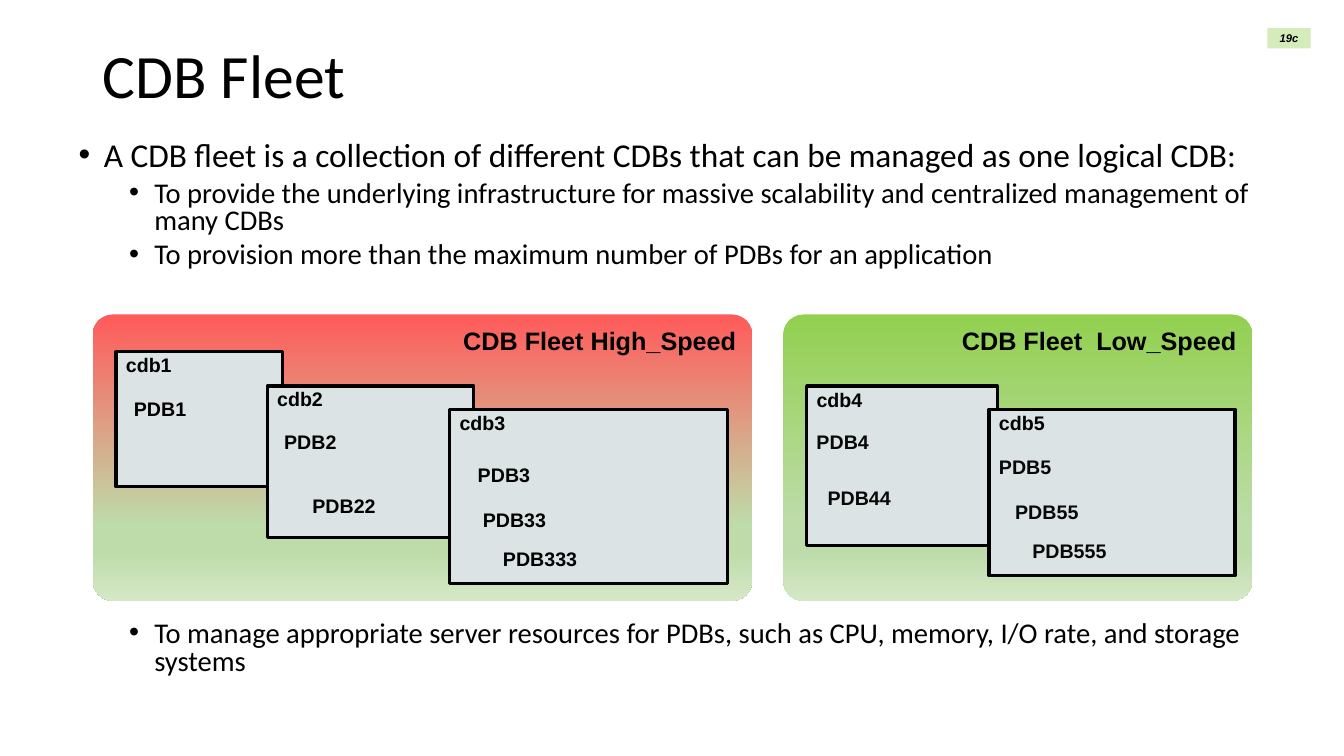
"""Build the slide on CDB fleets with their databases."""
from lxml.etree import SubElement
from pptx import Presentation
from pptx.dml.color import RGBColor
from pptx.enum.shapes import MSO_SHAPE
from pptx.enum.text import MSO_ANCHOR, MSO_AUTO_SIZE, PP_ALIGN
from pptx.oxml.ns import qn
from pptx.util import Pt

PX = 9144


def paint(fill, hue):
    """Fill with one solid colour."""
    fill.solid()
    fill.fore_color.rgb = RGBColor.from_string(hue)


def write(para, text, size=14, face="Arial", hue="000000", bold=True,
          slant=False, align=PP_ALIGN.LEFT, lead=1.0, gap=0):
    """Add formatted text to a paragraph."""
    run = para.add_run()
    run.text = text
    font = run.font
    font.size, font.name, font.bold, font.italic = Pt(size), face, bold, slant
    paint(font.fill, hue)
    para.alignment = align
    para.line_spacing = lead
    para.space_before = Pt(gap)


deck = Presentation()
deck.slide_width, deck.slide_height = 1333 * PX, 750 * PX
slide = deck.slides.add_slide(deck.slide_layouts[1])
shapes = slide.shapes

title, body = slide.placeholders
for holder, (x, y, w, h) in ((title, (92, 40, 1150, 145)),
                             (body, (68, 136, 1197, 541))):
    holder.left, holder.top = x * PX, y * PX
    holder.width, holder.height = w * PX, h * PX
    frame = holder.text_frame
    frame.auto_size = MSO_AUTO_SIZE.NONE
    frame.vertical_anchor = MSO_ANCHOR.TOP
    frame.word_wrap = True
write(title.text_frame.paragraphs[0], "CDB Fleet", size=44, face="Calibri",
      bold=False, lead=0.9)

points = [
    (0, 23.8, 0, "A CDB fleet is a collection of different CDBs that can be "
                 "managed as one logical CDB:"),
    (1, 20.4, 5, "To provide the underlying infrastructure for massive "
                 "scalability and centralized management of many CDBs"),
    (1, 20.4, 5, "To provision more than the maximum number of PDBs for an "
                 "application"),
    (1, 20.4, 251, "To manage appropriate server resources for PDBs, such as "
                   "CPU, memory, I/O rate, and storage systems"),
]
frame = body.text_frame
for i, (level, size, gap, text) in enumerate(points):
    para = frame.add_paragraph() if i else frame.paragraphs[0]
    para.level = level
    props = para._p.get_or_add_pPr()
    props.set("marL", str((25 + 50 * level) * PX))
    props.set("indent", str(-25 * PX))
    SubElement(props, qn("a:buFont")).set("typeface", "Arial")
    SubElement(props, qn("a:buChar")).set("char", "•")
    write(para, text, size=size, face="Calibri", bold=False, lead=0.8, gap=gap)

tag = shapes.add_shape(MSO_SHAPE.RECTANGLE, 1257 * PX, 28 * PX, 43 * PX, 20 * PX)
tag.shadow.inherit = False
paint(tag.fill, "D4ECBA")
tag.line.fill.background()
frame = tag.text_frame
frame.margin_left = frame.margin_right = 0
frame.margin_top = frame.margin_bottom = 0
frame.vertical_anchor = MSO_ANCHOR.MIDDLE
write(frame.paragraphs[0], "19c", size=8, slant=True, align=PP_ALIGN.CENTER)

fleets = [
    ("CDB Fleet High_Speed", 92, 654, "FF5B5B", "000000", [
        ("cdb1", 115, 349, 165, 134, [("PDB1", 123, 389)]),
        ("cdb2", 265, 383, 205, 150, [("PDB2", 272, 422), ("PDB22", 300, 485)]),
        ("cdb3", 446, 406, 276, 173, [("PDB3", 464, 454), ("PDB33", 469, 499),
                                      ("PDB333", 489, 538)]),
    ]),
    ("CDB Fleet  Low_Speed", 777, 465, "92D050", "080808", [
        ("cdb4", 800, 383, 189, 158, [("PDB4", 800, 422), ("PDB44", 811, 477)]),
        ("cdb5", 981, 406, 244, 165, [("PDB5", 981, 446), ("PDB55", 997, 491),
                                      ("PDB555", 1014, 530)]),
    ]),
]
for name, left, width, top_hue, ink, bases in fleets:
    fleet = shapes.add_shape(MSO_SHAPE.ROUNDED_RECTANGLE,
                             left * PX, 312 * PX, width * PX, 284 * PX)
    fleet.adjustments[0] = 0.07
    fleet.shadow.inherit = False
    fleet.line.fill.background()
    fleet.fill.gradient()
    fleet.fill.gradient_angle = 270
    stops = fleet.element.spPr.find(".//" + qn("a:gsLst"))
    stops.clear()
    for pos, hue in ((0, top_hue), (74, "BEDCAA"), (83, "BEDCAA"), (100, "D4E8C6")):
        stop = SubElement(stops, qn("a:gs"), pos=str(pos * 1000))
        SubElement(stop, qn("a:srgbClr"), val=hue)
    fleet.text_frame.vertical_anchor = MSO_ANCHOR.TOP
    write(fleet.text_frame.paragraphs[0], name, size=18, align=PP_ALIGN.RIGHT)

    for base, x, y, w, h, pdbs in bases:
        box = shapes.add_shape(MSO_SHAPE.RECTANGLE, x * PX, y * PX, w * PX, h * PX)
        box.shadow.inherit = False
        paint(box.fill, "DCE3E4")
        paint(box.line.fill, "000000")
        box.line.width = Pt(2.25)
        box.text_frame.vertical_anchor = MSO_ANCHOR.TOP
        write(box.text_frame.paragraphs[0], base, lead=0.85)
        for pdb, px, py in pdbs:
            label = shapes.add_textbox(px * PX, py * PX, 100 * PX, 34 * PX)
            label.text_frame.word_wrap = True
            write(label.text_frame.paragraphs[0], pdb, hue=ink)

deck.save("out.pptx")
